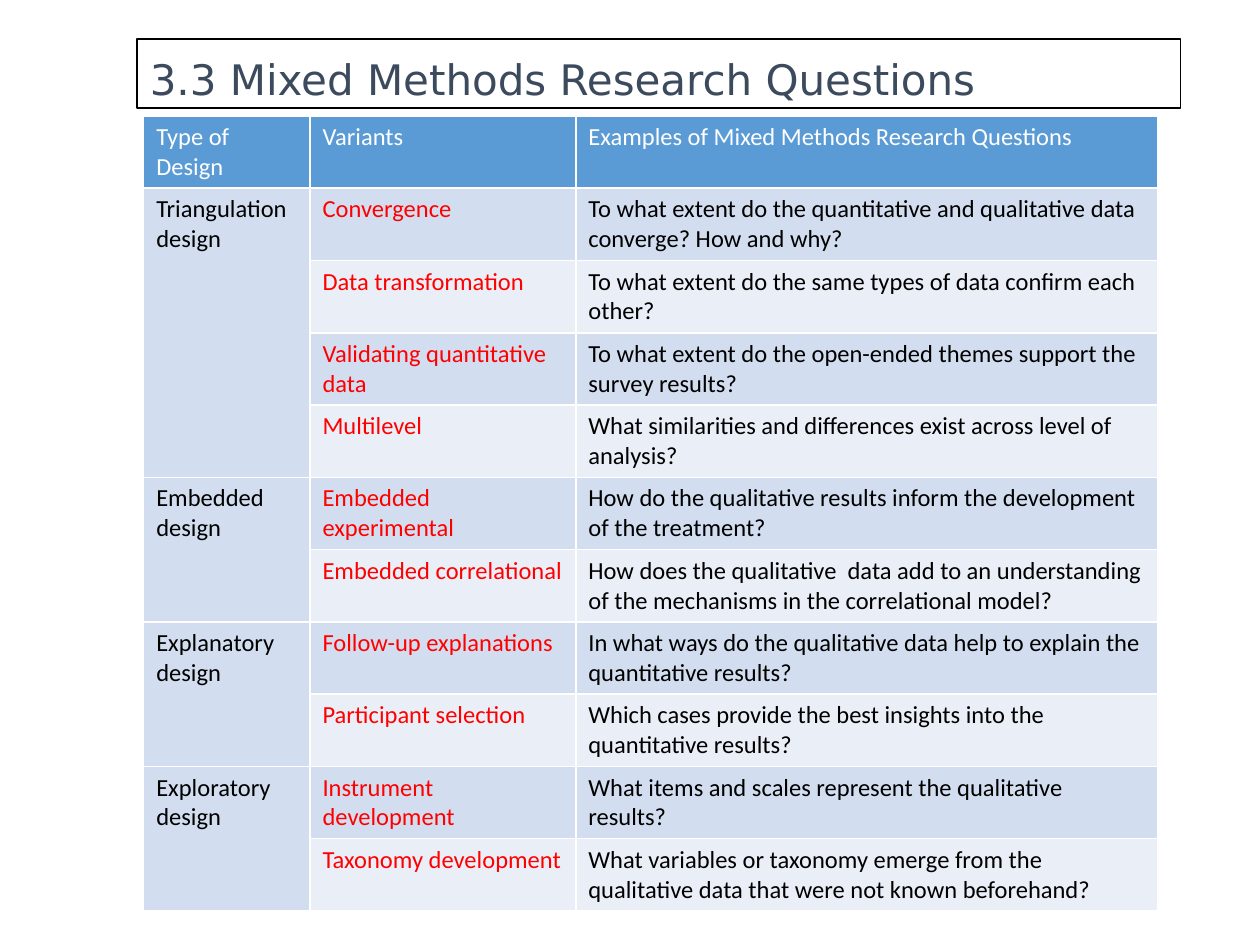
from typing import NamedTuple

from pptx import Presentation
from pptx.dml.color import RGBColor
from pptx.enum import shapes, text
from pptx.util import Inches, Pt

WHITE = RGBColor(0xFF, 0xFF, 0xFF)
BLACK = RGBColor(0x00, 0x00, 0x00)
RED = RGBColor(0xFF, 0x00, 0x00)
SLATE = RGBColor(0x3C, 0x4A, 0x5E)
HEADER_BLUE = RGBColor(0x5B, 0x9B, 0xD5)
BANDS = (RGBColor(0xD2, 0xDE, 0xEF), RGBColor(0xEA, 0xEF, 0xF7))

COLUMN_WIDTHS = (1.32, 2.11, 4.62)
ROW_HEIGHT = 0.57
HEADERS = ("Type of Design", "Variants", "Examples of Mixed Methods Research Questions")


class Variant(NamedTuple):
    name: str
    question: str


class Design(NamedTuple):
    name: str
    variants: tuple[Variant, ...]


DESIGNS = (
    Design("Triangulation design", (
        Variant("Convergence",
                "To what extent do the quantitative and qualitative data converge? How and why?"),
        Variant("Data transformation",
                "To what extent do the same types of data confirm each other?"),
        Variant("Validating quantitative data",
                "To what extent do the open-ended themes support the survey results?"),
        Variant("Multilevel",
                "What similarities and differences exist across level of analysis?"),
    )),
    Design("Embedded design", (
        Variant("Embedded experimental",
                "How do the qualitative results inform the development of the treatment?"),
        Variant("Embedded correlational",
                "How does the qualitative  data add to an understanding of the mechanisms "
                "in the correlational model?"),
    )),
    Design("Explanatory design", (
        Variant("Follow-up explanations",
                "In what ways do the qualitative data help to explain the quantitative results?"),
        Variant("Participant selection",
                "Which cases provide the best insights into the quantitative results?"),
    )),
    Design("Exploratory design", (
        Variant("Instrument development",
                "What items and scales represent the qualitative results?"),
        Variant("Taxonomy development",
                "What variables or taxonomy emerge from the qualitative data "
                "that were not known beforehand?"),
    )),
)


def set_text(paragraph, content: str, font: str, size: int, color: RGBColor) -> None:
    paragraph.text = content
    paragraph.font.name = font
    paragraph.font.size = Pt(size)
    paragraph.font.bold = False
    paragraph.font.color.rgb = color


def fill_cell(cell, content: str, color: RGBColor, fill: RGBColor) -> None:
    cell.fill.solid()
    cell.fill.fore_color.rgb = fill
    set_text(cell.text_frame.paragraphs[0], content, "Calibri", 14, color)


def add_design_table(slide) -> None:
    """Add the table; its default style supplies the white cell borders."""
    row_count = 1 + sum(len(design.variants) for design in DESIGNS)
    table = slide.shapes.add_table(
        row_count, len(COLUMN_WIDTHS), Inches(1.14), Inches(0.92),
        Inches(sum(COLUMN_WIDTHS)), Inches(ROW_HEIGHT * row_count)).table
    for column, width in zip(table.columns, COLUMN_WIDTHS):
        column.width = Inches(width)
    for row in table.rows:
        row.height = Inches(ROW_HEIGHT)

    for column, header in enumerate(HEADERS):
        fill_cell(table.cell(0, column), header, WHITE, HEADER_BLUE)

    first_row = 1
    for design in DESIGNS:
        last_row = first_row + len(design.variants) - 1
        design_cell = table.cell(first_row, 0)
        design_cell.merge(table.cell(last_row, 0))
        fill_cell(design_cell, design.name, BLACK, BANDS[0])
        for row, variant in enumerate(design.variants, first_row):
            band = BANDS[(row - 1) % 2]
            fill_cell(table.cell(row, 1), variant.name, RED, band)
            fill_cell(table.cell(row, 2), variant.question, BLACK, band)
        first_row = last_row + 1


def add_title(slide) -> None:
    title = slide.shapes.add_shape(
        shapes.MSO_SHAPE.RECTANGLE, Inches(1.09), Inches(0.31), Inches(8.28), Inches(0.55))
    title.shadow.inherit = False
    title.fill.solid()
    title.fill.fore_color.rgb = WHITE
    title.line.color.rgb = BLACK
    title.line.width = Pt(1)
    frame = title.text_frame
    frame.word_wrap = True
    frame.vertical_anchor = text.MSO_ANCHOR.BOTTOM
    frame.margin_bottom = Inches(0.03)
    paragraph = frame.paragraphs[0]
    paragraph.alignment = text.PP_ALIGN.LEFT
    paragraph.line_spacing = 0.9
    set_text(paragraph, "3.3 Mixed Methods Research Questions", "DejaVu Sans", 24, SLATE)


def main() -> None:
    presentation = Presentation()
    presentation.slide_width = Inches(10)
    presentation.slide_height = Inches(7.5)
    slide = presentation.slides.add_slide(presentation.slide_layouts[6])
    add_design_table(slide)
    add_title(slide)
    presentation.save("out.pptx")


if __name__ == "__main__":
    main()
